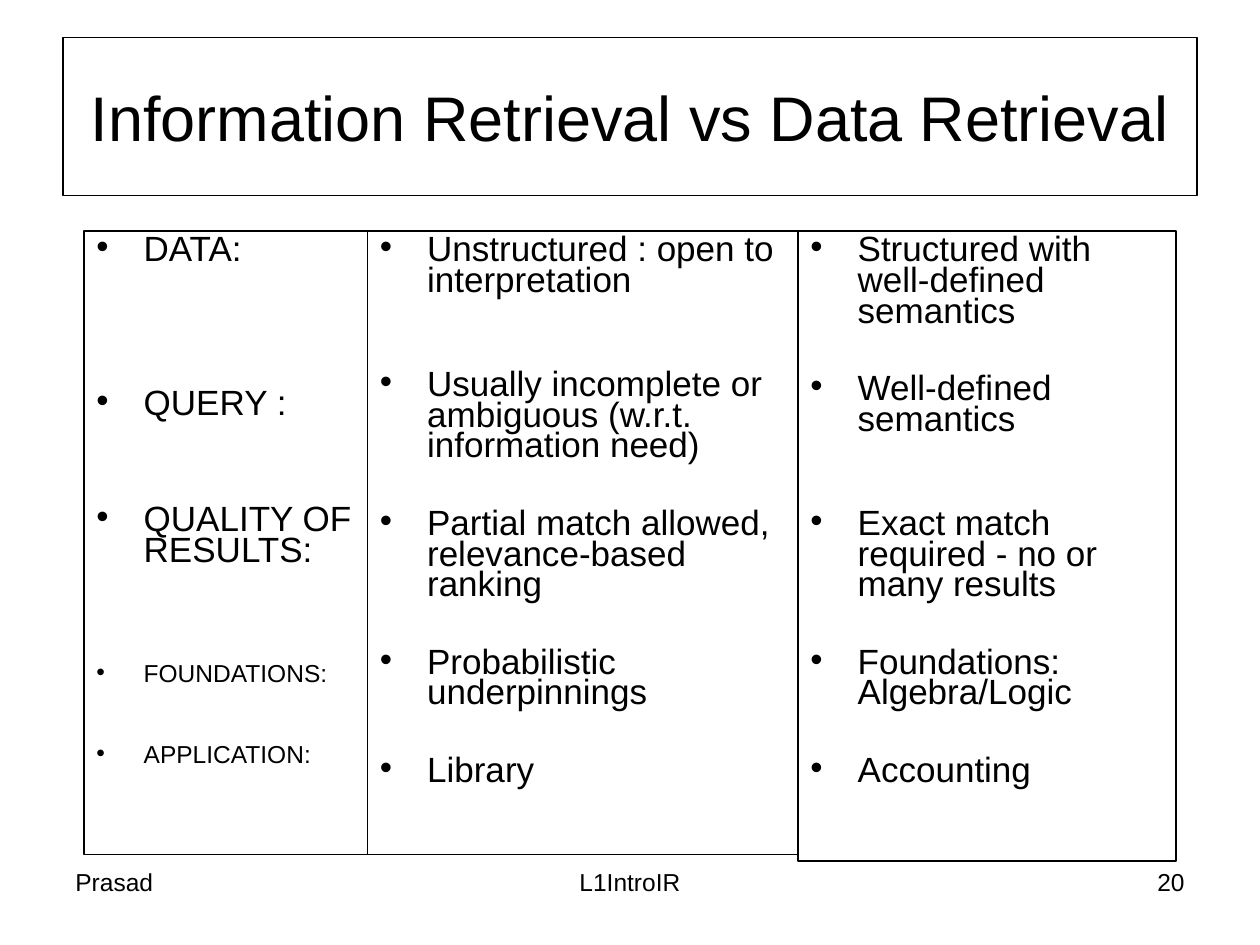
from lxml.etree import SubElement
from pptx import Presentation
from pptx.dml.color import RGBColor
from pptx.enum.shapes import MSO_SHAPE as Shape
from pptx.enum.text import MSO_ANCHOR as Anchor, PP_ALIGN as Align
from pptx.oxml.ns import qn
from pptx.util import Pt

COLORS = {"ink": "000000", "paper": "FFFFFF"}
FONT = "Arial"
INDENT = 27
LINE_SPACING = 0.73

TITLE = ("Information Retrieval vs Data Retrieval", (36, 21.6, 648, 90))

# Each footer: text, alignment, left, width
FOOTERS = [
    ("Prasad", Align.LEFT, 36, 168),
    ("L1IntroIR", Align.CENTER, 246, 228),
    ("20", Align.RIGHT, 516, 168),
]
FOOTER_TOP, FOOTER_HEIGHT = 492, 37

# Each column: width, height, and items of (text, size, space before)
COLUMNS = [
    (204 - 42, 356.4, [
        ("DATA:", 20, 0),
        ("QUERY :", 20, 70.4),
        ("QUALITY OF RESULTS:", 20, 48.6),
        ("FOUNDATIONS:", 14, 55.7),
        ("APPLICATION:", 14, 33.9),
    ]),
    (246, 356.4, [
        ("Unstructured : open to interpretation", 20, 0),
        ("Usually incomplete or ambiguous (w.r.t. information need)", 20, 42),
        ("Partial match allowed, relevance-based ranking", 20, 26.8),
        ("Probabilistic underpinnings", 20, 26.8),
        ("Library", 20, 26.8),
    ]),
    (216, 360, [
        ("Structured with well-defined semantics", 20, 0),
        ("Well-defined semantics", 20, 26.8),
        ("Exact match required - no or many results", 20, 42),
        ("Foundations: Algebra/Logic", 20, 26.8),
        ("Accounting", 20, 26.8),
    ]),
]
COLUMNS_LEFT, COLUMNS_TOP = 48, 132


def color(name):
    return RGBColor.from_string(COLORS[name])


def set_all(target, values):
    for name, value in values.items():
        setattr(target, name, value)


def add_frame(page, area, anchor=Anchor.TOP):
    """Add an outlined, unfilled rectangle and return its text frame."""
    box = page.shapes.add_shape(Shape.RECTANGLE, *map(Pt, area))
    box.shadow.inherit = False
    box.fill.background()
    box.line.color.rgb = color("ink")
    box.line.width = Pt(0.75)
    set_all(box.text_frame, {"word_wrap": True, "vertical_anchor": anchor})
    return box.text_frame


def write(para, text, size, **layout):
    set_all(para, layout)
    span = para.add_run()
    span.text = text
    set_all(span.font, {"name": FONT, "size": Pt(size)})
    span.font.color.rgb = color("ink")


def add_bullet(para):
    props = para._p.get_or_add_pPr()
    props.set("marL", str(Pt(INDENT)))
    props.set("indent", str(-Pt(INDENT)))
    SubElement(SubElement(props, qn("a:buClr")), qn("a:srgbClr"), val=COLORS["ink"])
    SubElement(props, qn("a:buFont"), typeface=FONT)
    SubElement(props, qn("a:buChar"), char="•")


def add_column(page, area, items):
    frame = add_frame(page, area)
    for index, (text, size, before) in enumerate(items):
        para = frame.add_paragraph() if index else frame.paragraphs[0]
        add_bullet(para)
        write(para, text, size, alignment=Align.LEFT,
              line_spacing=LINE_SPACING, space_before=Pt(before))


def main():
    deck = Presentation()
    set_all(deck, {"slide_width": Pt(720), "slide_height": Pt(540)})
    page = deck.slides.add_slide(deck.slide_layouts[6])
    page.background.fill.solid()
    page.background.fill.fore_color.rgb = color("paper")

    for text, alignment, left, width in FOOTERS:
        area = (left, FOOTER_TOP, width, FOOTER_HEIGHT)
        box = page.shapes.add_textbox(*map(Pt, area))
        box.text_frame.word_wrap = True
        write(box.text_frame.paragraphs[0], text, 14, alignment=alignment)

    text, area = TITLE
    heading = add_frame(page, area, Anchor.MIDDLE)
    write(heading.paragraphs[0], text, 36, alignment=Align.CENTER)

    left = COLUMNS_LEFT
    for width, height, items in COLUMNS:
        add_column(page, (left, COLUMNS_TOP, width, height), items)
        left += width

    deck.save("out.pptx")


if __name__ == "__main__":
    main()
